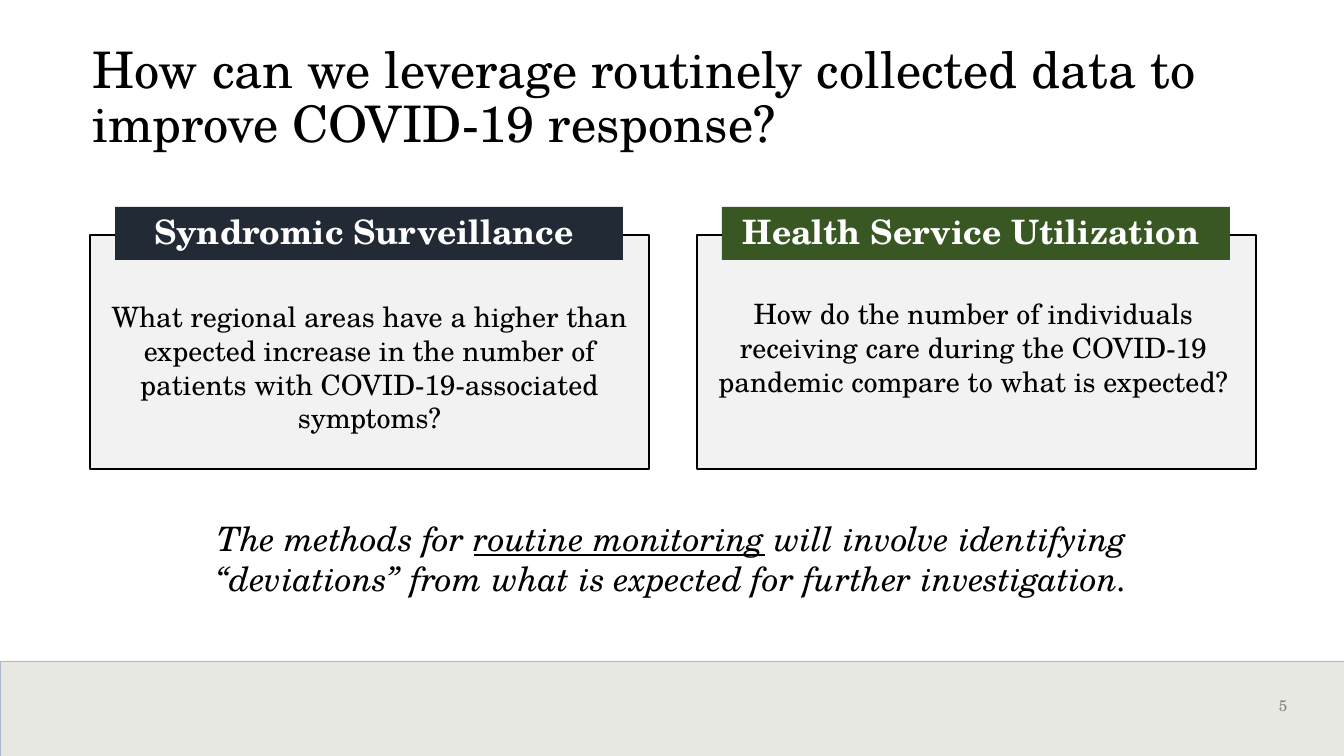
from dataclasses import dataclass

from lxml.etree import SubElement
from pptx import Presentation
from pptx.dml.color import RGBColor
from pptx.enum.shapes import MSO_SHAPE
from pptx.enum.text import MSO_ANCHOR, PP_ALIGN
from pptx.oxml.ns import qn
from pptx.util import Emu, Pt


@dataclass(frozen=True)
class Theme:
    font: str = "TeX Gyre Schola"
    ink: str = "000000"
    white: str = "FFFFFF"
    grey: str = "7F7F7F"
    card: str = "F2F2F2"
    navy: str = "222A35"
    green: str = "385723"
    band: str = "D3D3C9"
    edge: str = "ADB9CA"
    title: int = 36
    head: int = 24
    body: int = 20
    page: int = 11


THEME = Theme()
SCALE = 914400 / 100.8


def px(count):
    return Emu(round(count * SCALE))


def color(code):
    return RGBColor.from_string(code)


def add_box(slide, area, fill, edge=None, width=1):
    box = slide.shapes.add_shape(MSO_SHAPE.RECTANGLE, *map(px, area))
    box.shadow.inherit = False
    box.fill.solid()
    box.fill.fore_color.rgb = color(fill)
    if edge:
        box.line.color.rgb = color(edge)
        box.line.width = Pt(width)
    else:
        box.line.fill.background()
    return box


def set_text(shape, parts, size, ink=THEME.ink, align=PP_ALIGN.CENTER,
             left=10, spacing=None, bold=False, italic=False):
    """Fill a shape with one paragraph of runs; every second run is underlined."""
    frame = shape.text_frame
    frame.word_wrap = True
    frame.margin_left, frame.margin_right = px(left), px(10)
    frame.margin_top = frame.margin_bottom = px(5)
    para = frame.paragraphs[0]
    para.alignment = align
    if spacing:
        para.line_spacing = spacing
    for index, part in enumerate(parts):
        run = para.add_run()
        run.text = part
        font = run.font
        font.name, font.size = THEME.font, Pt(size)
        font.color.rgb = color(ink)
        font.bold, font.italic = bold, italic
        font.underline = index % 2 == 1


def add_text(slide, area, parts, size, **style):
    box = slide.shapes.add_textbox(*map(px, area))
    set_text(box, parts, size, **style)


def add_band(slide):
    band = add_box(slide, (0, 661, 1344, 95), THEME.band, THEME.edge, 0.5)
    tint = band.fill._xPr.find(qn("a:solidFill"))[0]
    SubElement(tint, qn("a:alpha"), val="50000")


def add_card(slide, left, head, fill, body, start):
    add_box(slide, (left, 235, 559, 234), THEME.card, THEME.ink)
    tag = add_box(slide, (left + 25, 207, 508, 53), fill)
    set_text(tag, [head], THEME.head, ink=THEME.white, left=0,
             spacing=0.9, bold=True)
    tag.text_frame.vertical_anchor = MSO_ANCHOR.MIDDLE
    add_text(slide, (*start, 559, 112), [body], THEME.body)


def main():
    deck = Presentation()
    deck.slide_width, deck.slide_height = px(1344), px(756)
    slide = deck.slides.add_slide(deck.slide_layouts[6])

    add_band(slide)
    add_text(slide, (1249, 691, 71, 37), ["5"], THEME.page, ink=THEME.grey,
             align=PP_ALIGN.LEFT, left=30)
    add_text(slide, (93, 40, 1159, 113),
             ["How can we leverage routinely collected data to improve "
              "COVID-19 response?"],
             THEME.title, align=PP_ALIGN.LEFT, left=0, spacing=0.9)
    add_card(slide, 90, "Syndromic Surveillance", THEME.navy,
             "What regional areas have a higher than expected increase in the "
             "number of patients with COVID-19-associated symptoms?",
             (90, 295))
    add_card(slide, 697, "Health Service Utilization", THEME.green,
             "How do the number of individuals receiving care during the "
             "COVID-19 pandemic compare to what is expected?",
             (694, 292))
    add_text(slide, (114, 513, 1116, 92),
             ["The methods for ", "routine monitoring",
              " will involve identifying “deviations” from what is expected "
              "for further investigation."],
             THEME.head, italic=True)

    deck.save("out.pptx")


if __name__ == "__main__":
    main()
